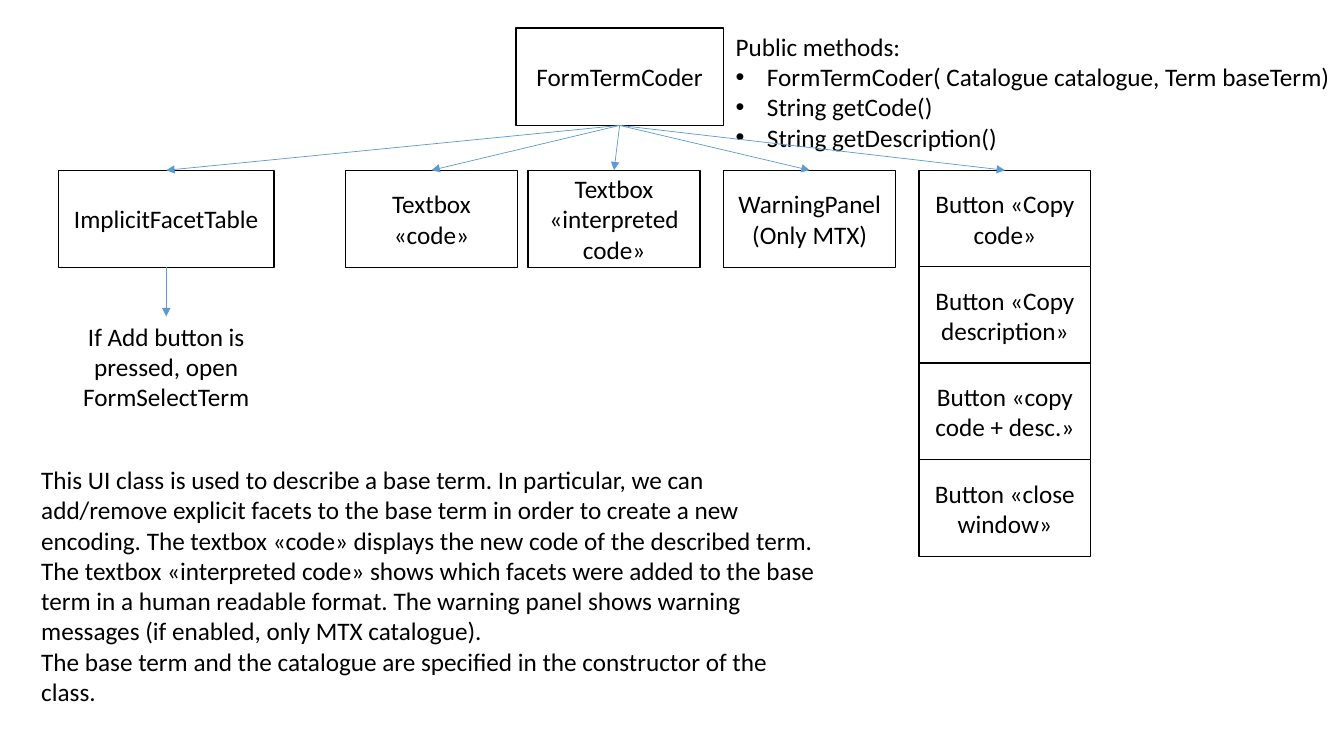
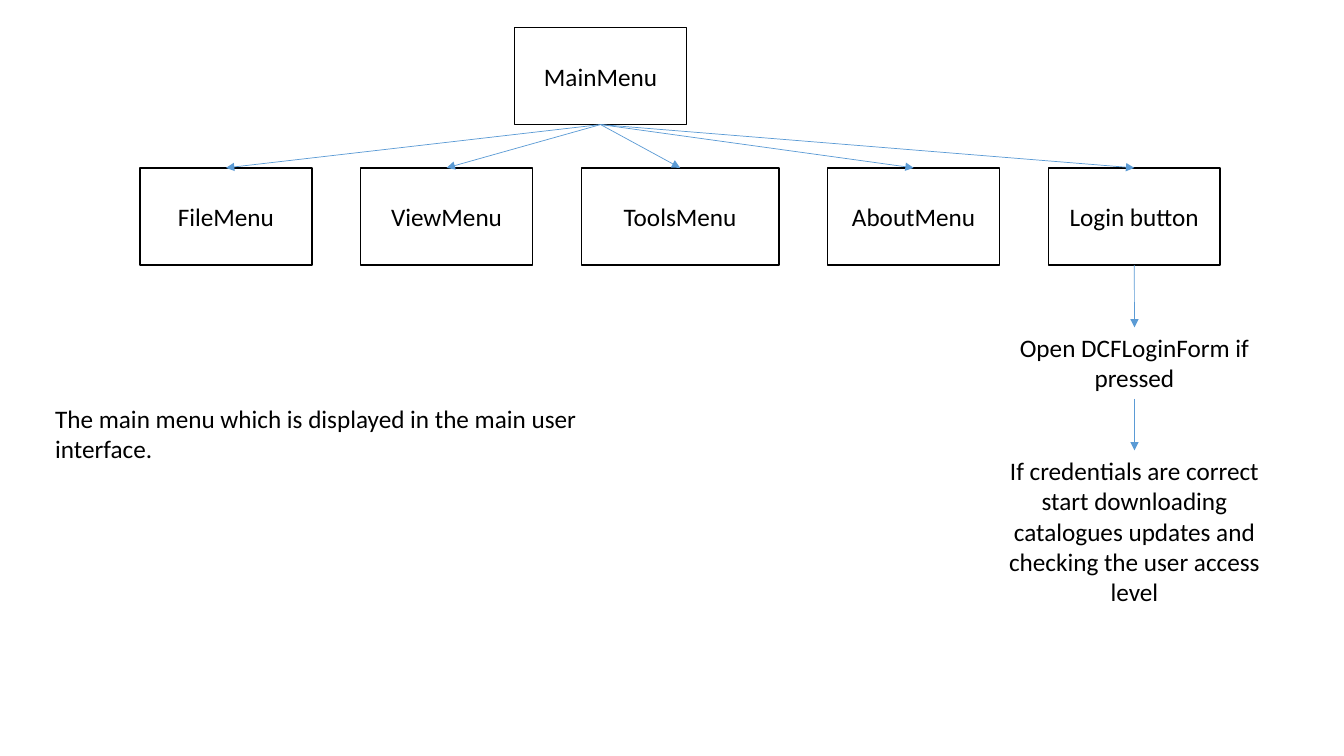
from lxml import etree
from pptx import Presentation
from pptx.dml.color import RGBColor
from pptx.enum.shapes import MSO_CONNECTOR, MSO_SHAPE
from pptx.enum.text import MSO_ANCHOR, MSO_AUTO_SIZE, PP_ALIGN
from pptx.oxml.ns import qn
from pptx.util import Cm, Pt

STRAIGHT = MSO_CONNECTOR.STRAIGHT
RECTANGLE = MSO_SHAPE.RECTANGLE
MIDDLE, TOP_ANCHOR = MSO_ANCHOR.MIDDLE, MSO_ANCHOR.TOP
FIT_SHAPE = MSO_AUTO_SIZE.SHAPE_TO_FIT_TEXT
LEFT, CENTER = PP_ALIGN.LEFT, PP_ALIGN.CENTER
TOP_SIDE, BOTTOM_SIDE = 0, 2

BLACK = RGBColor(0x00, 0x00, 0x00)
WHITE = RGBColor(0xFF, 0xFF, 0xFF)
ARROW_BLUE = RGBColor(0x5B, 0x9B, 0xD5)
FONT = "Calibri"
FONT_SIZE = Pt(18)
BULLET_INDENT = Cm(0.79)

# All lengths below are centimetres.
BOX_WIDTH, BOX_HEIGHT = 4.33, 2.45
STACK_STEP = 2.43
MENU_GAP = 1.23

# Term coder form: (lines, left, width)
CODER_TOP = 4.29
CODER_PARTS = [
    (["ImplicitFacetTable"], 1.47, 5.44),
    (["Textbox «code»"], 8.71, BOX_WIDTH),
    (["Textbox «interpreted code»"], 13.31, BOX_WIDTH),
    (["WarningPanel", "(Only MTX)"], 18.24, BOX_WIDTH),
    (["Button «Copy code»"], 23.16, BOX_WIDTH),
]
STACKED_BUTTONS = [
    "Button «Copy description»",
    "Button «copy code + desc.»",
    "Button «close window»",
]
PUBLIC_METHODS = [
    "FormTermCoder( Catalogue catalogue, Term baseTerm)",
    "String getCode()",
    "String getDescription()",
]
ADD_NOTE = "If Add button is pressed, open FormSelectTerm"
CODER_DESCRIPTION = [
    "This UI class is used to describe a base term. In particular, we can add/remove "
    "explicit facets to the base term in order to create a new encoding. The textbox "
    "«code» displays the new code of the described term. The textbox «interpreted code» "
    "shows which facets were added to the base term in a human readable format. The "
    "warning panel shows warning messages (if enabled, only MTX catalogue).",
    "The base term and the catalogue are specified in the constructor of the class.",
]

# Main menu: (label, width), laid out from left to right
MENU_LEFT, MENU_TOP = 3.53, 4.23
MENU_PARTS = [
    ("FileMenu", BOX_WIDTH),
    ("ViewMenu", BOX_WIDTH),
    ("ToolsMenu", 4.98),
    ("AboutMenu", BOX_WIDTH),
    ("Login button", BOX_WIDTH),
]
# Steps after login: (text, top, height)
LOGIN_STEPS = [
    ("Open DCFLoginForm if pressed", 8.25, 1.8),
    ("If credentials are correct start downloading catalogues updates and checking "
     "the user access level", 11.35, 4.11),
]
MENU_DESCRIPTION = "The main menu which is displayed in the main user interface."


def write_text(shape, lines, align=LEFT, anchor=TOP_ANCHOR, wrap=True, bullets_from=None):
    """Write one paragraph per line; lines from index bullets_from on get a bullet."""
    frame = shape.text_frame
    frame.word_wrap = wrap
    frame.vertical_anchor = anchor
    for index, line in enumerate(lines):
        paragraph = frame.paragraphs[0] if index == 0 else frame.add_paragraph()
        paragraph.alignment = align
        if bullets_from is not None and index >= bullets_from:
            properties = paragraph._p.get_or_add_pPr()
            properties.set("marL", str(BULLET_INDENT))
            properties.set("indent", str(-BULLET_INDENT))
            etree.SubElement(properties, qn("a:buFont")).set("typeface", "Arial")
            etree.SubElement(properties, qn("a:buChar")).set("char", "•")
        run = paragraph.add_run()
        run.text = line
        run.font.name = FONT
        run.font.size = FONT_SIZE
        run.font.color.rgb = BLACK


def add_box(slide, lines, left, top, width=BOX_WIDTH):
    box = slide.shapes.add_shape(RECTANGLE, Cm(left), Cm(top), Cm(width), Cm(BOX_HEIGHT))
    box.shadow.inherit = False
    box.fill.solid()
    box.fill.fore_color.rgb = WHITE
    box.line.color.rgb = BLACK
    box.line.width = Pt(1)
    write_text(box, lines, align=CENTER, anchor=MIDDLE)
    return box


def add_note(slide, lines, left, top, width, height, **text_format):
    note = slide.shapes.add_textbox(Cm(left), Cm(top), Cm(width), Cm(height))
    write_text(note, lines, **text_format)
    note.text_frame.auto_size = FIT_SHAPE
    return note


def add_arrow(slide, source, target):
    """Join the bottom of source to the top of target."""
    arrow = slide.shapes.add_connector(STRAIGHT, 0, 0, 0, 0)
    arrow.begin_connect(source, BOTTOM_SIDE)
    arrow.end_connect(target, TOP_SIDE)
    arrow.line.color.rgb = ARROW_BLUE
    arrow.line.width = Pt(0.5)
    etree.SubElement(arrow.line._get_or_add_ln(), qn("a:tailEnd")).set("type", "triangle")
    etree.SubElement(arrow._element.spPr, qn("a:effectLst"))


def add_children(slide, parent, parts, top):
    """Draw a row of (lines, left, width) boxes, each with an arrow from parent."""
    children = [add_box(slide, lines, left, top, width) for lines, left, width in parts]
    for child in children:
        add_arrow(slide, parent, child)
    return children


def build_coder_slide(slide):
    form = add_box(slide, ["FormTermCoder"], 13, 0.71, 5.23)
    add_note(slide, ["Public methods:", *PUBLIC_METHODS], 18.29, 0.66, 15.65, 3.33,
             wrap=False, bullets_from=1)
    facet_table = add_children(slide, form, CODER_PARTS, CODER_TOP)[0]
    stack_left = CODER_PARTS[-1][1]
    for row, label in enumerate(STACKED_BUTTONS, start=1):
        add_box(slide, [label], stack_left, CODER_TOP + row * STACK_STEP)
    add_note(slide, CODER_DESCRIPTION, 0.79, 11.58, 20.17, 6.4)
    note = add_note(slide, [ADD_NOTE], 1.56, 7.97, 5.26, 2.57, align=CENTER)
    add_arrow(slide, facet_table, note)


def build_menu_slide(slide):
    menu = add_box(slide, ["MainMenu"], 12.97, 0.69)
    parts, left = [], MENU_LEFT
    for label, width in MENU_PARTS:
        parts.append(([label], left, width))
        left += width + MENU_GAP
    previous = add_children(slide, menu, parts, MENU_TOP)[-1]
    for text, top, height in LOGIN_STEPS:
        step = add_note(slide, [text], 24.92, top, 7.34, height, align=CENTER)
        add_arrow(slide, previous, step)
        previous = step
    add_note(slide, [MENU_DESCRIPTION], 1.14, 10.03, 14.71, 1.8)


def main():
    presentation = Presentation()
    presentation.slide_width = Cm(33.87)
    presentation.slide_height = Cm(19.05)
    blank_layout = presentation.slide_layouts[6]
    for build_slide in (build_coder_slide, build_menu_slide):
        build_slide(presentation.slides.add_slide(blank_layout))
    presentation.save("out.pptx")


if __name__ == "__main__":
    main()
